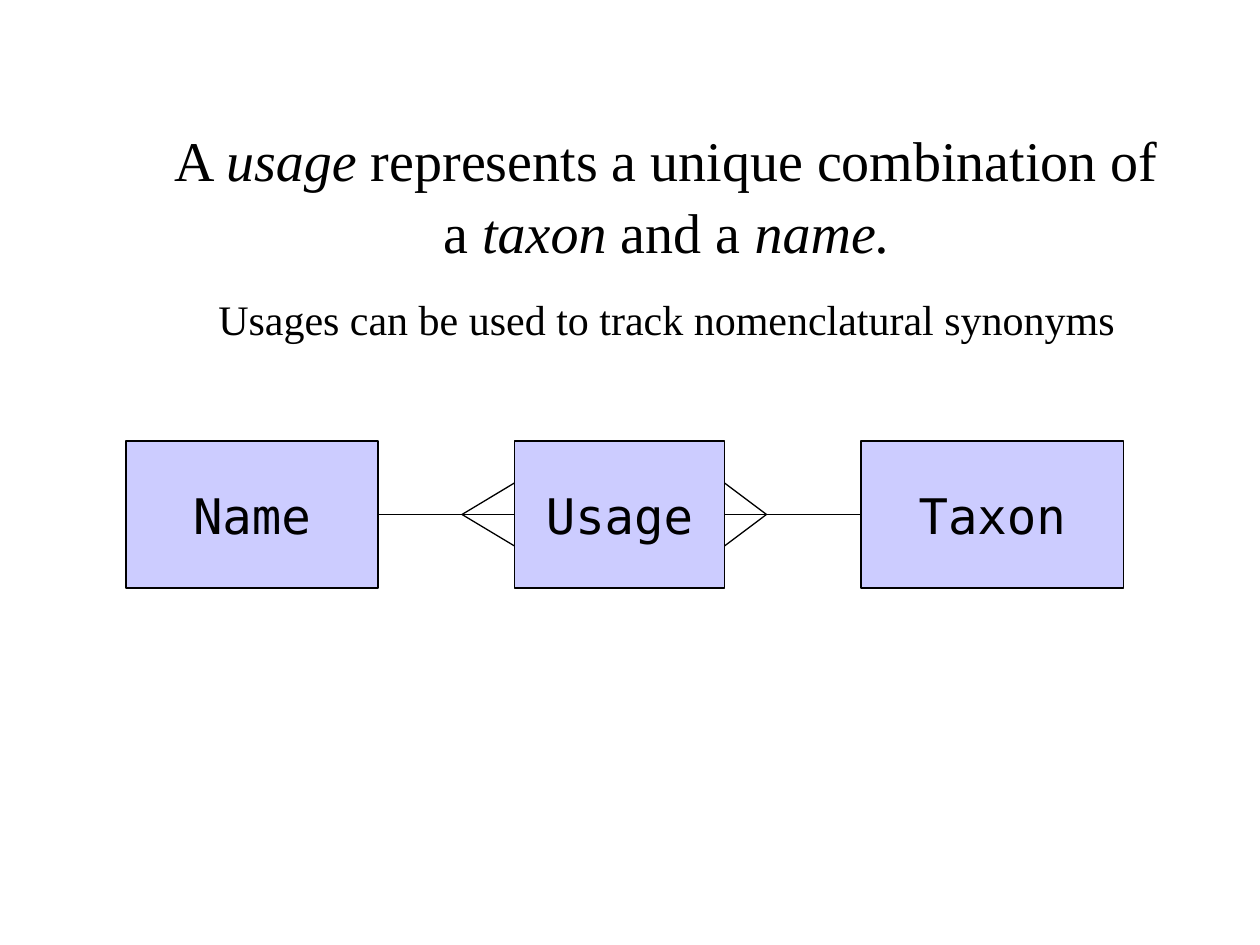
from lxml import etree
from pptx import Presentation
from pptx import util as u
from pptx.dml.color import RGBColor
from pptx.enum import shapes, text
from pptx.oxml.ns import qn

BLACK = RGBColor(0x00, 0x00, 0x00)
LAVENDER = RGBColor(0xCC, 0xCC, 0xFF)
SERIF = "Times New Roman"
MONO = "DejaVu Sans Mono"

COLUMNS, ROWS = 120, 90  # grid cells of a twelfth of an inch
BOX_TOP, BOX_ROWS = 42, 14
AXIS = BOX_TOP + BOX_ROWS / 2
FOOT_SPREAD = 3


class Diagram:
    def __init__(self, deck):
        self.cell_width = deck.slide_width / COLUMNS
        self.cell_height = deck.slide_height / ROWS
        self.page = deck.slides.add_slide(deck.slide_layouts.get_by_name("Title Only"))

    def place(self, column, row):
        return u.Emu(round(column * self.cell_width)), u.Emu(round(row * self.cell_height))

    def style_paragraph(self, para, font, size):
        para.alignment = text.PP_ALIGN.CENTER
        para.font.name = font
        para.font.size = u.Pt(size)
        para.font.color.rgb = BLACK

    def heading(self, column, row, columns, rows, paragraphs):
        """Fill the title with (size, space before, [(words, italic), ...]) paragraphs."""
        title = self.page.shapes.title
        title.left, title.top = self.place(column, row)
        title.width, title.height = self.place(columns, rows)
        frame = title.text_frame
        frame.word_wrap = True
        frame.auto_size = text.MSO_AUTO_SIZE.NONE
        frame.vertical_anchor = text.MSO_ANCHOR.TOP
        for index, (size, space, spans) in enumerate(paragraphs):
            para = frame.add_paragraph() if index else frame.paragraphs[0]
            self.style_paragraph(para, SERIF, size)
            para.space_before = u.Pt(space)
            para.line_spacing = 1.06
            for words, italic in spans:
                span = para.add_run()
                span.text = words
                span.font.italic = italic

    def entity(self, name, column, columns):
        box = self.page.shapes.add_shape(
            shapes.MSO_SHAPE.RECTANGLE,
            *self.place(column, BOX_TOP), *self.place(columns, BOX_ROWS))
        box.shadow.inherit = False
        box.fill.solid()
        box.fill.fore_color.rgb = LAVENDER
        box.line.color.rgb = BLACK
        box.line.width = u.Pt(0.75)
        frame = box.text_frame
        frame.word_wrap = False
        frame.vertical_anchor = text.MSO_ANCHOR.MIDDLE
        frame.text = name
        self.style_paragraph(frame.paragraphs[0], MONO, 28)

    def line(self, start, end):
        line = self.page.shapes.add_connector(
            shapes.MSO_CONNECTOR.STRAIGHT, *self.place(*start), *self.place(*end))
        line.line.color.rgb = BLACK
        line.line.width = u.Pt(0.75)
        etree.SubElement(line._element.spPr, qn("a:effectLst"))

    def one_to_many(self, one, fork, many):
        """Draw a line with a crow's foot, opening from column fork to column many."""
        self.line((one, AXIS), (many, AXIS))
        for offset in (-FOOT_SPREAD, FOOT_SPREAD):
            self.line((fork, AXIS), (many, AXIS + offset))


def main():
    deck = Presentation()
    deck.slide_width, deck.slide_height = u.Inches(10), u.Inches(7.5)
    diagram = Diagram(deck)
    diagram.heading(15, 11, 97, 21.4, [
        (32, 20, [("A ", False), ("usage", True),
                  (" represents a unique combination of a ", False),
                  ("taxon", True), (" and a ", False), ("name.", True)]),
        (24, 15, [("Usages can be used to track nomenclatural synonyms", False)]),
    ])
    for name, column, columns in (("Name", 12, 24), ("Taxon", 82, 25), ("Usage", 49, 20)):
        diagram.entity(name, column, columns)
    diagram.one_to_many(one=36, fork=44, many=49)
    diagram.one_to_many(one=82, fork=73, many=69)
    deck.save("out.pptx")


if __name__ == "__main__":
    main()
